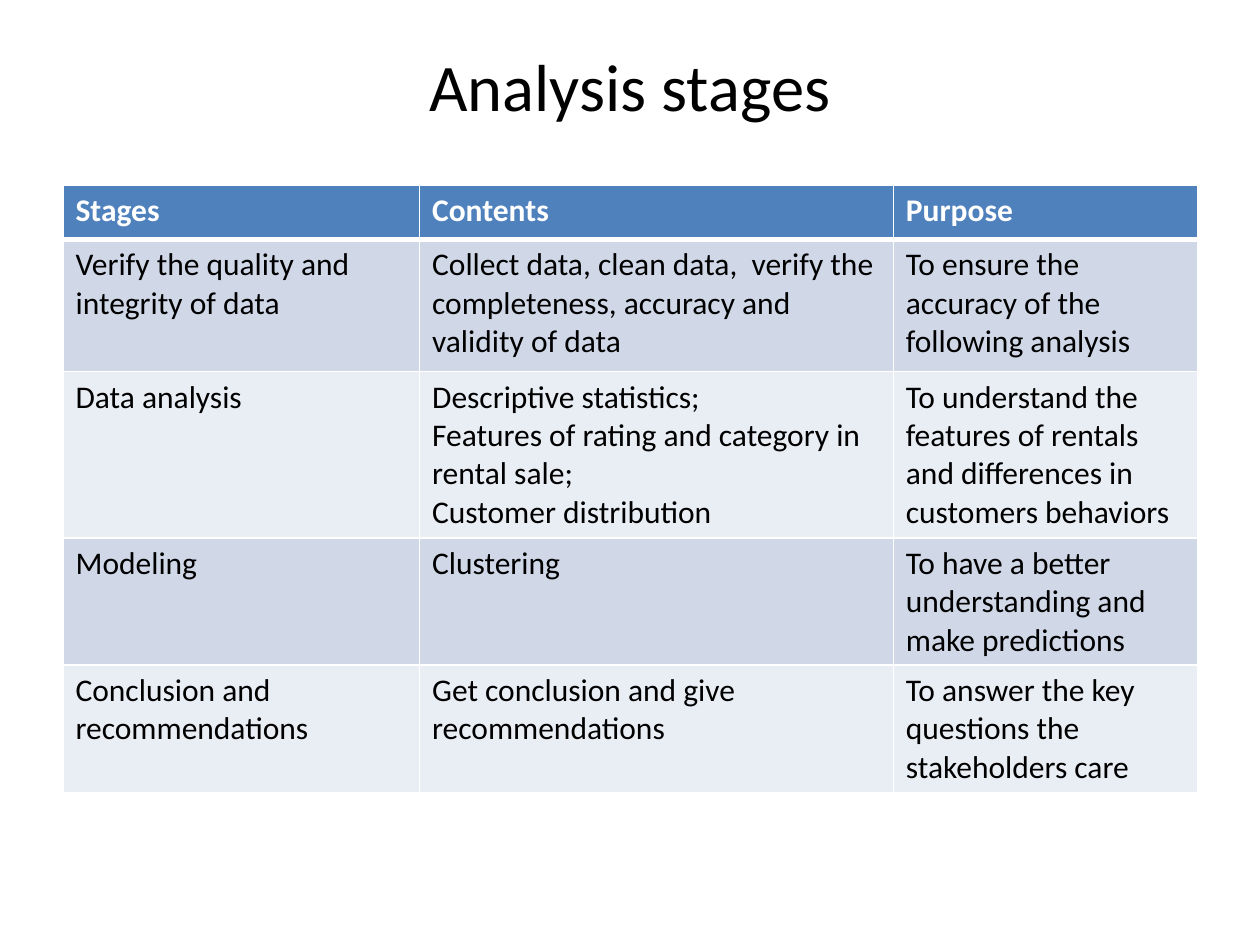
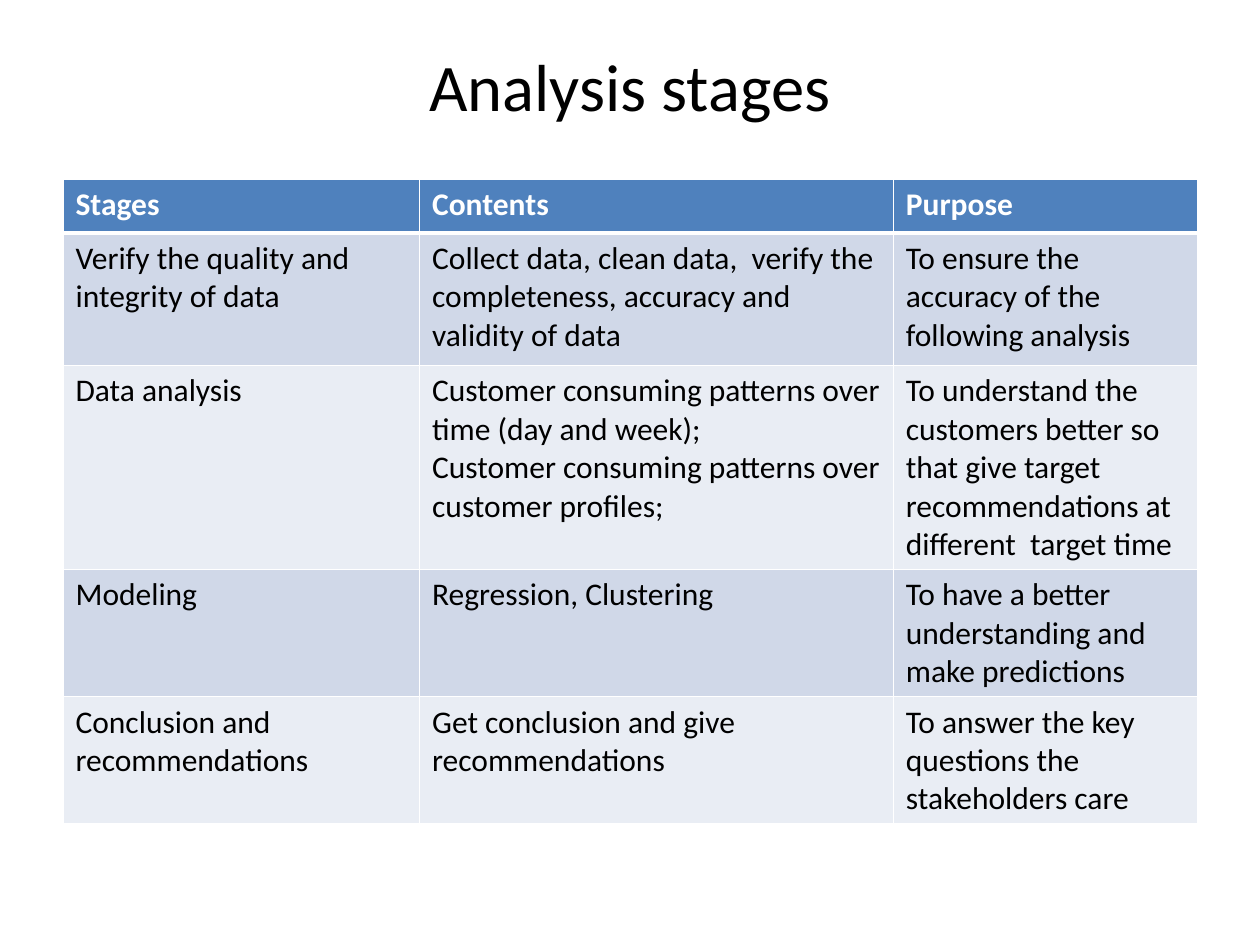
from dataclasses import dataclass

from lxml import etree
from pptx import Presentation
from pptx.dml.color import RGBColor
from pptx.enum.text import MSO_ANCHOR, PP_ALIGN
from pptx.oxml.ns import qn
from pptx.util import Inches, Pt

CENTER = PP_ALIGN.CENTER
MIDDLE = MSO_ANCHOR.MIDDLE

FONT = "Calibri"
BLACK, WHITE = "000000", "FFFFFF"
HEAD_FILL = "4F81BD"
BANDS = ("D0D8E8", "E9EDF4")
THIN, THICK = 1, 3

LEFT, WIDTH = 0.5, 9
COLS = (2.83, 3.76, 2.42)
HEAD = ("Stages", "Contents", "Purpose")
VERIFY = (
    "Verify the quality and integrity of data",
    "Collect data, clean data,  verify the completeness, accuracy and validity of data",
    "To ensure the accuracy of the following analysis",
)
MODEL_GOAL = "To have a better understanding and make predictions"
CLOSE = (
    "Conclusion and recommendations",
    "Get conclusion and give recommendations",
    "To answer the key questions the stakeholders care",
)


@dataclass
class Plan:
    top: float
    study: str
    goal: str
    study_height: float
    model: str

    def rows(self) -> list[tuple[str, str, str]]:
        return [
            HEAD,
            VERIFY,
            ("Data analysis", self.study, self.goal),
            ("Modeling", self.model, MODEL_GOAL),
            CLOSE,
        ]

    def heights(self) -> tuple[float, ...]:
        return (0.43, 1.05, self.study_height, 1.01, 1.01)


PLANS = (
    Plan(
        top=1.47,
        study="Descriptive statistics;\n"
        "Features of rating and category in rental sale;\n"
        "Customer distribution",
        goal="To understand the features of rentals and differences in customers behaviors",
        study_height=1.32,
        model="Clustering",
    ),
    Plan(
        top=1.42,
        study="Customer consuming patterns over time (day and week);\n"
        "Customer consuming patterns over customer profiles;",
        goal="To understand the customers better so that give target "
        "recommendations at different  target time",
        study_height=1.62,
        model="Regression, Clustering",
    ),
)


def color(code: str) -> RGBColor:
    return RGBColor.from_string(code)


def style(frame, size: int, code: str, bold: bool = False) -> None:
    for para in frame.paragraphs:
        for run in para.runs:
            font = run.font
            font.name, font.size, font.bold = FONT, Pt(size), bold
            font.color.rgb = color(code)


def add_title(slide, text: str) -> None:
    box = slide.shapes.add_textbox(Inches(LEFT), Inches(0.17), Inches(WIDTH), Inches(1))
    frame = box.text_frame
    frame.word_wrap = True
    frame.vertical_anchor = MIDDLE
    frame.text = text
    frame.paragraphs[0].alignment = CENTER
    style(frame, 38, BLACK)


def add_edges(cell, top: int, bottom: int) -> None:
    """Draw white cell borders; the schema wants them ahead of the fill."""
    props = cell._tc.get_or_add_tcPr()
    edges = {"a:lnL": THIN, "a:lnR": THIN, "a:lnT": top, "a:lnB": bottom}
    for place, (tag, width) in enumerate(edges.items()):
        line = etree.Element(qn(tag), w=str(Pt(width)))
        fill = etree.SubElement(line, qn("a:solidFill"))
        etree.SubElement(fill, qn("a:srgbClr"), val=WHITE)
        props.insert(place, line)


def add_grid(slide, plan: Plan) -> None:
    rows, heights = plan.rows(), plan.heights()
    table = slide.shapes.add_table(
        len(rows), len(COLS), Inches(LEFT), Inches(plan.top),
        Inches(WIDTH), Inches(sum(heights)),
    ).table
    table.horz_banding = False
    for col, width in zip(table.columns, COLS):
        col.width = Inches(width)
    for r, (texts, height) in enumerate(zip(rows, heights)):
        table.rows[r].height = Inches(height)
        head = r == 0
        for c, text in enumerate(texts):
            cell = table.cell(r, c)
            cell.text_frame.text = text
            style(cell.text_frame, 18, WHITE if head else BLACK, head)
            cell.fill.solid()
            cell.fill.fore_color.rgb = color(HEAD_FILL if head else BANDS[(r - 1) % 2])
            add_edges(cell, THICK if r == 1 else THIN, THICK if head else THIN)


def main() -> None:
    deck = Presentation()
    deck.slide_width, deck.slide_height = Inches(10), Inches(7.5)
    for plan in PLANS:
        slide = deck.slides.add_slide(deck.slide_layouts[6])
        add_title(slide, "Analysis stages")
        add_grid(slide, plan)
    deck.save("out.pptx")


if __name__ == "__main__":
    main()
